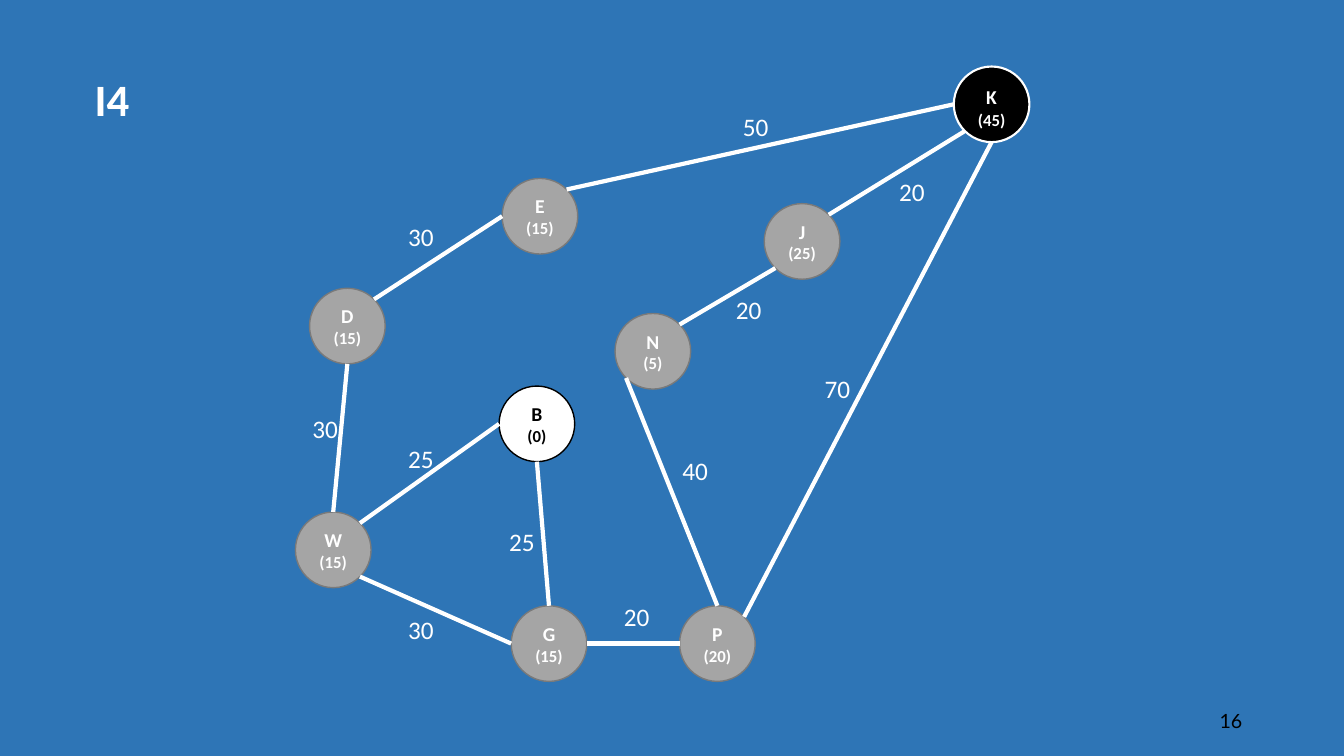
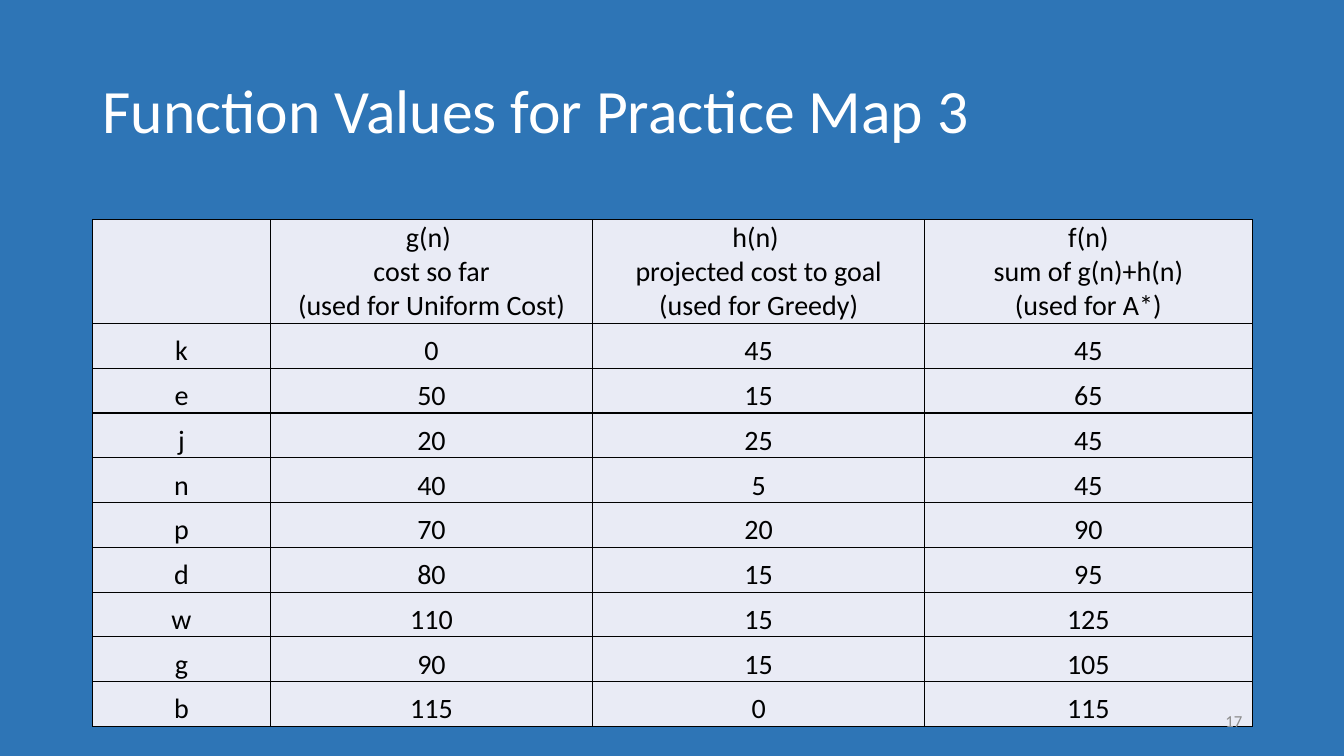
"""Build a search-graph slide and a table of its function values."""
import math

import pptx
import pptx.dml.color
import pptx.enum.shapes
import pptx.enum.text
import pptx.oxml
import pptx.oxml.ns
import pptx.util

RGBColor = pptx.dml.color.RGBColor
Inches = pptx.util.Inches
Pt = pptx.util.Pt
ALIGN = pptx.enum.text.PP_ALIGN
ANCHOR = pptx.enum.text.MSO_ANCHOR

BLUE = RGBColor(0x2E, 0x75, 0xB6)
WHITE = RGBColor(0xFF, 0xFF, 0xFF)
BLACK = RGBColor(0x00, 0x00, 0x00)
GREY = RGBColor(0xA5, 0xA5, 0xA5)
DARK_GREY = RGBColor(0x7A, 0x7A, 0x7A)
PAGE_GREY = RGBColor(0x8C, 0x8C, 0x8C)
PALE = RGBColor(0xE9, 0xEB, 0xF5)

HEADING = {"size": Pt(32), "name": "Calibri", "bold": True, "color": WHITE}
TITLE = {"size": Pt(44), "name": "Calibri", "color": WHITE}
LABEL = {"size": Pt(18), "name": "Calibri", "color": WHITE}
CELL = {"size": Pt(20), "name": "Calibri", "color": BLACK}
NODE = {"name": "Calibri", "bold": True}
PAGE_DARK = {"size": Pt(14), "name": "Lato", "color": BLACK}
PAGE_LIGHT = {"size": Pt(12), "name": "Calibri", "color": PAGE_GREY}

DIAMETER = 0.75
NODES = {
    "K": (9.46, 0.66, 45), "J": (7.58, 2.02, 25), "E": (4.98, 1.77, 15),
    "B": (4.95, 3.83, 0), "P": (6.74, 6.01, 20), "N": (6.1, 3.11, 5),
    "D": (3.07, 2.86, 15), "G": (5.07, 6.01, 15), "W": (2.93, 5.08, 15),
}
NODE_COLOURS = {"K": (BLACK, WHITE, 1.5, WHITE), "B": (WHITE, BLACK, 1, BLACK)}
PLAIN_NODE = (GREY, DARK_GREY, 1, WHITE)
ANGLES = {"E": 0, "SE": 45, "S": 90, "SW": 135, "W": 180, "N": 270, "NE": 315}
EDGES = [
    ("K", "SW", "J", "NE", 20, 8.82, 1.7),
    ("J", "SW", "N", "NE", 20, 7.2, 2.87),
    ("K", "S", "P", "NE", 70, 8.08, 3.65),
    ("P", "W", "G", "E", 20, 6.09, 5.92),
    ("G", "N", "B", "S", 25, 4.95, 5.17),
    ("N", "SW", "P", "N", 40, 6.67, 4.47),
    ("E", "NE", "K", "W", 50, 7.27, 1.06),
    ("E", "W", "D", "NE", 30, 3.95, 2.15),
    ("D", "S", "W", "N", 30, 3, 4.05),
    ("G", "W", "W", "SE", 30, 3.95, 6.05),
    ("W", "NE", "B", "W", 25, 3.95, 4.35),
]

COLUMNS = [1.76, 3.2, 3.29, 3.25]
HEADER_HEIGHT = 1.03
TABLE_HEIGHT = 5.03
HEADER = [
    "",
    "g(n) \ncost so far\n(used for Uniform Cost)",
    "h(n) \nprojected cost to goal\n(used for Greedy)",
    "f(n)\nsum of g(n)+h(n)\n(used for A*)",
]
COSTS_SO_FAR = {"k": 0, "e": 50, "j": 20, "n": 40, "p": 70, "d": 80,
                "w": 110, "g": 90, "b": 115}


def add_run(p, text, fmt):
    r = p.add_run()
    r.text = text
    for key, value in fmt.items():
        if key == "color":
            r.font.color.rgb = value
        else:
            setattr(r.font, key, value)


def add_text(s, box, text, fmt, anchor=ANCHOR.TOP, align=ALIGN.LEFT,
             wrap=False, spacing=1.0):
    tf = s.shapes.add_textbox(*map(Inches, box)).text_frame
    tf.word_wrap = wrap
    tf.vertical_anchor = anchor
    p = tf.paragraphs[0]
    p.alignment = align
    p.line_spacing = spacing
    add_run(p, text, fmt)


def add_page_number(s, number, fmt):
    add_text(s, (9.42, 6.95, 3, 0.4), str(number), fmt, ANCHOR.MIDDLE,
             ALIGN.RIGHT, True)


def add_node(s, name):
    x, y, cost = NODES[name]
    fill, line, width, color = NODE_COLOURS.get(name, PLAIN_NODE)
    sp = s.shapes.add_shape(pptx.enum.shapes.MSO_SHAPE.OVAL,
                            *map(Inches, (x, y, DIAMETER, DIAMETER)))
    sp.shadow.inherit = False
    sp.fill.solid()
    sp.fill.fore_color.rgb = fill
    sp.line.color.rgb = line
    sp.line.width = Pt(width)
    tf = sp.text_frame
    tf.word_wrap = True
    tf.vertical_anchor = ANCHOR.MIDDLE
    p = tf.paragraphs[0]
    add_run(p, name, {**NODE, "size": Pt(14), "color": color})
    if name == "B":
        p = tf.add_paragraph()
    else:
        gap = Pt(18 if name == "K" else 14)
        add_run(p, " ", {**NODE, "size": gap, "color": color})
    add_run(p, f"({cost})", {**NODE, "size": Pt(12), "color": color})
    for p in tf.paragraphs:
        p.alignment = ALIGN.CENTER


def rim_point(name, side):
    x, y, _ = NODES[name]
    angle = math.radians(ANGLES[side])
    radius = DIAMETER / 2
    return (Inches(x + radius + radius * math.cos(angle)),
            Inches(y + radius + radius * math.sin(angle)))


def add_edge(s, start, start_side, end, end_side):
    line = s.shapes.add_connector(
        pptx.enum.shapes.MSO_CONNECTOR.STRAIGHT,
        *rim_point(start, start_side), *rim_point(end, end_side))
    line.line.color.rgb = WHITE
    line.line.width = Pt(3)
    pptx.oxml.ns.qn("a:effectLst")
    line._element.spPr.append(pptx.oxml.parse_xml(
        f'<a:effectLst {pptx.oxml.ns.nsdecls("a")}/>'))


def fill_cell(cell, text):
    tcPr = cell._tc.get_or_add_tcPr()
    for side in "LRTB":
        tcPr.append(pptx.oxml.parse_xml(
            f'<a:ln{side} {pptx.oxml.ns.nsdecls("a")} w="{Pt(1)}">'
            f'<a:solidFill><a:srgbClr val="{BLACK}"/></a:solidFill>'
            f'</a:ln{side}>'))
    cell.fill.solid()
    cell.fill.fore_color.rgb = PALE
    cell.vertical_anchor = ANCHOR.BOTTOM
    cell.margin_left = cell.margin_right = cell.margin_top = Inches(0.01)
    cell.margin_bottom = 0
    if not text:
        return
    tf = cell.text_frame
    for i, line in enumerate(text.split("\n")):
        p = tf.add_paragraph() if i else tf.paragraphs[0]
        p.alignment = ALIGN.CENTER
        add_run(p, line, CELL)


def add_values_table(s):
    rows = [HEADER]
    for name, g in COSTS_SO_FAR.items():
        h = NODES[name.upper()][2]
        rows.append([name, str(g), str(h), str(g + h)])
    table = s.shapes.add_table(
        len(rows), len(COLUMNS),
        *map(Inches, (0.92, 2.18, sum(COLUMNS), TABLE_HEIGHT))).table
    table.first_row = table.horz_banding = False
    for column, width in zip(table.columns, COLUMNS):
        column.width = Inches(width)
    body_height = (TABLE_HEIGHT - HEADER_HEIGHT) / len(COSTS_SO_FAR)
    for i, (row, texts) in enumerate(zip(table.rows, rows)):
        row.height = Inches(body_height if i else HEADER_HEIGHT)
        for cell, text in zip(row.cells, texts):
            fill_cell(cell, text)


def build_graph_slide(s):
    add_page_number(s, 16, PAGE_DARK)
    for name in NODES:
        add_node(s, name)
    for start, start_side, end, end_side, cost, x, y in EDGES:
        add_text(s, (x, y, 0.45, 0.4), str(cost), LABEL)
        add_edge(s, start, start_side, end, end_side)
    add_text(s, (0.84, 0.66, 0.55, 0.64), "I4", HEADING)


def build_table_slide(s):
    add_text(s, (0.92, 0.4, 11.5, 1.45), "Function Values for Practice Map 3",
             TITLE, ANCHOR.MIDDLE, wrap=True, spacing=0.9)
    add_values_table(s)
    add_page_number(s, 17, PAGE_LIGHT)


def main():
    prs = pptx.Presentation()
    prs.slide_width = Inches(13.33)
    prs.slide_height = Inches(7.5)
    background = prs.slide_master.background.fill
    background.solid()
    background.fore_color.rgb = BLUE
    for build in (build_graph_slide, build_table_slide):
        build(prs.slides.add_slide(prs.slide_layouts[6]))
    prs.save("out.pptx")


if __name__ == "__main__":
    main()
